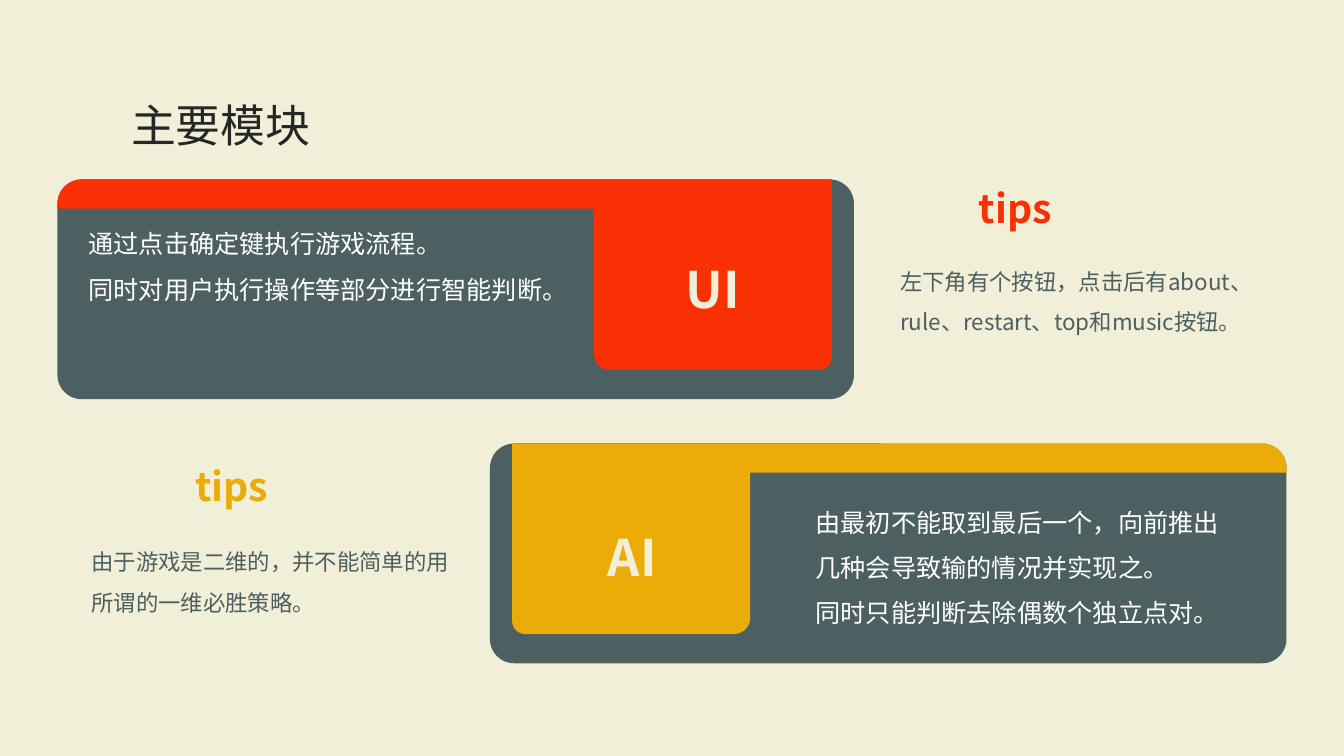
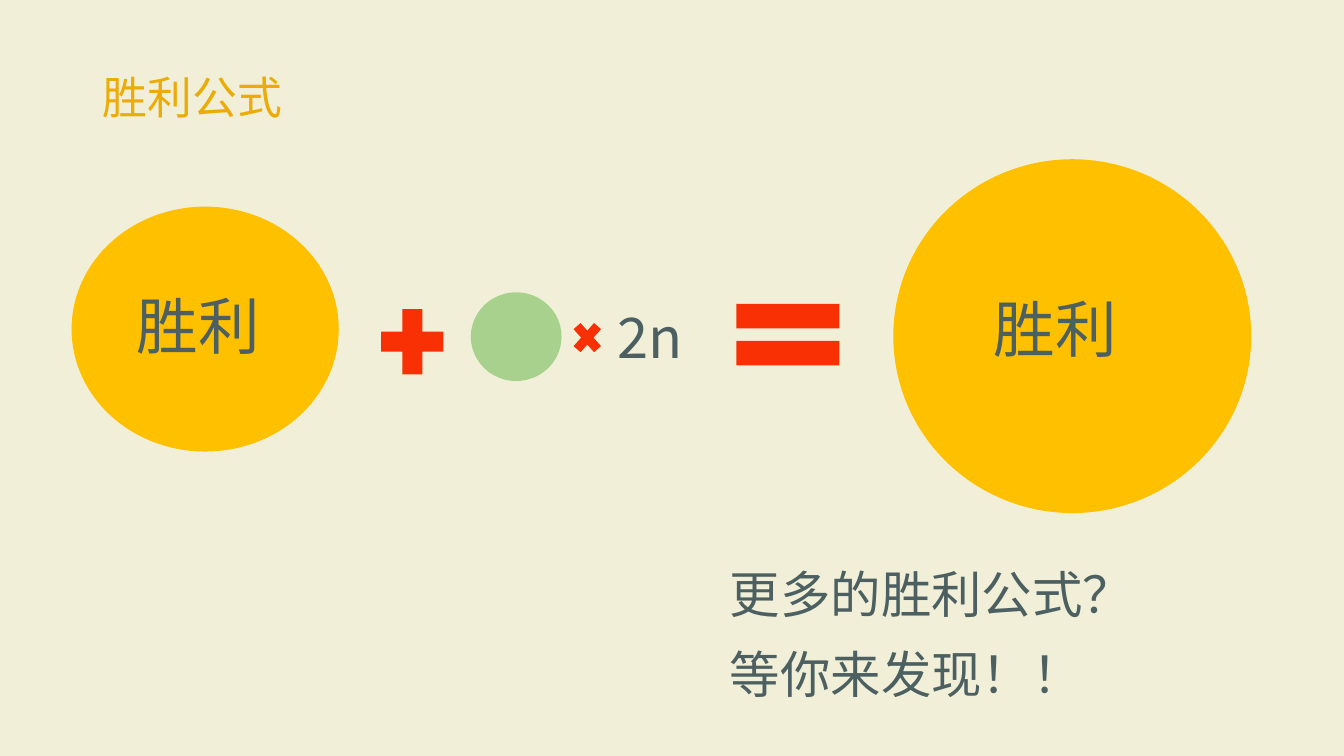
from math import cos, radians, sin

from lxml import etree
from pptx import Presentation
from pptx.dml.color import RGBColor
from pptx.enum.shapes import MSO_SHAPE
from pptx.enum.text import MSO_ANCHOR, MSO_AUTO_SIZE, PP_ALIGN
from pptx.oxml.ns import qn
from pptx.util import Inches, Pt

LEFT, CENTER = PP_ALIGN.LEFT, PP_ALIGN.CENTER
TOP = MSO_ANCHOR.TOP
FIXED_SIZE = MSO_AUTO_SIZE.NONE
ROUNDED = MSO_SHAPE.ROUNDED_RECTANGLE
OVAL = MSO_SHAPE.OVAL
PLUS, TIMES, EQUAL = MSO_SHAPE.MATH_PLUS, MSO_SHAPE.MATH_MULTIPLY, MSO_SHAPE.MATH_EQUAL


class Theme:
    font = "Noto Sans CJK SC"
    cream = RGBColor.from_string("F1EFD7")
    slate = RGBColor.from_string("4C6062")
    red = RGBColor.from_string("F83003")
    gold = RGBColor.from_string("EBAC07")
    amber = RGBColor.from_string("FFC000")
    green = RGBColor.from_string("A9D18E")
    ink = RGBColor.from_string("262626")
    white = RGBColor.from_string("FFFFFF")
    tip_size = Pt(16)
    body_size = Pt(18)
    tip_heading_size = Pt(28)
    title_size = Pt(32)
    label_size = Pt(36)
    variable_size = Pt(40)
    circle_size = Pt(44)


def paint(shape, color):
    shape.shadow.inherit = False
    shape.fill.solid()
    shape.fill.fore_color.rgb = color
    shape.line.fill.background()


def write(box, bounds, lines, size, color, bold=False, align=LEFT, spacing=1.0, gap=0):
    box.left, box.top, box.width, box.height = [Inches(length) for length in bounds]
    frame = box.text_frame
    frame.word_wrap = True
    frame.auto_size = FIXED_SIZE
    frame.vertical_anchor = TOP
    for index, line in enumerate(lines):
        para = frame.add_paragraph() if index else frame.paragraphs[0]
        para.alignment = align
        para.line_spacing = spacing
        if index and gap:
            para.space_before = Pt(gap)
        span = para.add_run()
        span.text = line
        span.font.name = Theme.font
        span.font.size = size
        span.font.bold = bold
        span.font.color.rgb = color
        east_asian = etree.SubElement(span.font._element, qn("a:ea"))
        east_asian.set("typeface", Theme.font)


deck = Presentation()
deck.slide_width = Inches(13.33)
deck.slide_height = Inches(7.5)
background = deck.slide_master.background.fill
background.solid()
background.fore_color.rgb = Theme.cream
title_only = deck.slide_layouts[5]

titles = [
    ("主要模块", 1.2, 0.92, Theme.ink),
    ("胜利公式", 0.92, 0.64, Theme.gold),
]
pages = []
for title, left, top, color in titles:
    page = deck.slides.add_slide(title_only)
    write(page.shapes.title, (left, top, 2.7, 0.64), [title], Theme.title_size, color)
    pages.append(page)
modules_page, formula_page = pages

card_width, card_height, card_radius = 7.9, 2.18, 0.24
flag_corners = [
    (0, 0, card_radius, 180),
    (7.68, 0, 0, 270),
    (7.68, 1.89, 0.13, 0),
    (5.32, 1.89, 0.16, 90),
    (5.32, 0.29, 0, 0),
    (0, 0.29, 0, 0),
]
flag_outline = []
for x, y, radius, start in flag_corners:
    if not radius:
        flag_outline.append((x, y))
        continue
    center_x = x + radius if start in (90, 180) else x - radius
    center_y = y + radius if start in (180, 270) else y - radius
    for step in range(13):
        angle = radians(start + step * 7.5)
        flag_outline.append((center_x + radius * cos(angle), center_y + radius * sin(angle)))

cards = [
    (0.57, 1.78, False, Theme.red),
    (4.86, 4.4, True, Theme.gold),
]
for left, top, mirrored, color in cards:
    panel = modules_page.shapes.add_shape(
        ROUNDED, Inches(left), Inches(top), Inches(card_width), Inches(card_height)
    )
    panel.adjustments[0] = card_radius / card_height
    paint(panel, Theme.slate)
    points = [
        (Inches(left + (card_width - x if mirrored else x)), Inches(top + y))
        for x, y in flag_outline
    ]
    builder = modules_page.shapes.build_freeform(*points[0])
    builder.add_line_segments(points[1:], close=True)
    paint(builder.convert_to_shape(), color)

headings = [
    ("UI", (5.83, 2.51, 2.48, 1.31), Theme.label_size, Theme.cream),
    ("AI", (5.03, 5.17, 2.48, 0.71), Theme.label_size, Theme.cream),
    ("tips", (8.83, 1.78, 2.48, 0.57), Theme.tip_heading_size, Theme.red),
    ("tips", (1.06, 4.54, 2.48, 0.57), Theme.tip_heading_size, Theme.gold),
]
for text, bounds, size, color in headings:
    box = modules_page.shapes.add_textbox(0, 0, 0, 0)
    write(box, bounds, [text], size, color, bold=True, align=CENTER)

descriptions = [
    (
        ["通过点击确定键执行游戏流程。", "同时对用户执行操作等部分进行智能判断。"],
        (0.78, 2.07, 5.1, 1.01), Theme.body_size, Theme.white,
    ),
    (
        ["由最初不能取到最后一个，向前推出几种会导致输的情况并实现之。",
         "同时只能判断去除偶数个独立点对。"],
        (7.99, 4.83, 4.29, 1.46), Theme.body_size, Theme.white,
    ),
    (
        ["左下角有个按钮，点击后有about、rule、restart、top和music按钮。"],
        (8.83, 2.48, 3.82, 0.86), Theme.tip_size, Theme.slate,
    ),
    (
        ["由于游戏是二维的，并不能简单的用所谓的一维必胜策略。"],
        (0.81, 5.26, 3.82, 0.86), Theme.tip_size, Theme.slate,
    ),
]
for lines, bounds, size, color in descriptions:
    box = modules_page.shapes.add_textbox(0, 0, 0, 0)
    write(box, bounds, lines, size, color, spacing=1.5)

symbols = [
    (OVAL, (0.71, 2.05, 2.65, 2.43), Theme.amber),
    (PLUS, (3.67, 2.95, 0.84, 0.88), Theme.red),
    (OVAL, (4.67, 2.9, 0.9, 0.88), Theme.green),
    (TIMES, (5.63, 3.13, 0.39, 0.44), Theme.red),
    (EQUAL, (7.12, 2.8, 1.39, 1.04), Theme.red),
    (OVAL, (8.86, 1.58, 3.55, 3.51), Theme.amber),
]
for kind, bounds, color in symbols:
    symbol = formula_page.shapes.add_shape(kind, *[Inches(length) for length in bounds])
    paint(symbol, color)

formula_texts = [
    (["胜利"], (1.26, 2.81, 2.36, 0.84), Theme.circle_size),
    (["2n"], (6.03, 2.95, 0.98, 0.77), Theme.variable_size),
    (["胜利"], (9.76, 2.84, 2.36, 0.84), Theme.circle_size),
    (["更多的胜利公式？", "等你来发现！！"], (7.14, 5.54, 5.1, 1.51), Theme.label_size),
]
for lines, bounds, size in formula_texts:
    box = formula_page.shapes.add_textbox(0, 0, 0, 0)
    write(box, bounds, lines, size, Theme.slate, gap=14)

deck.save("out.pptx")
